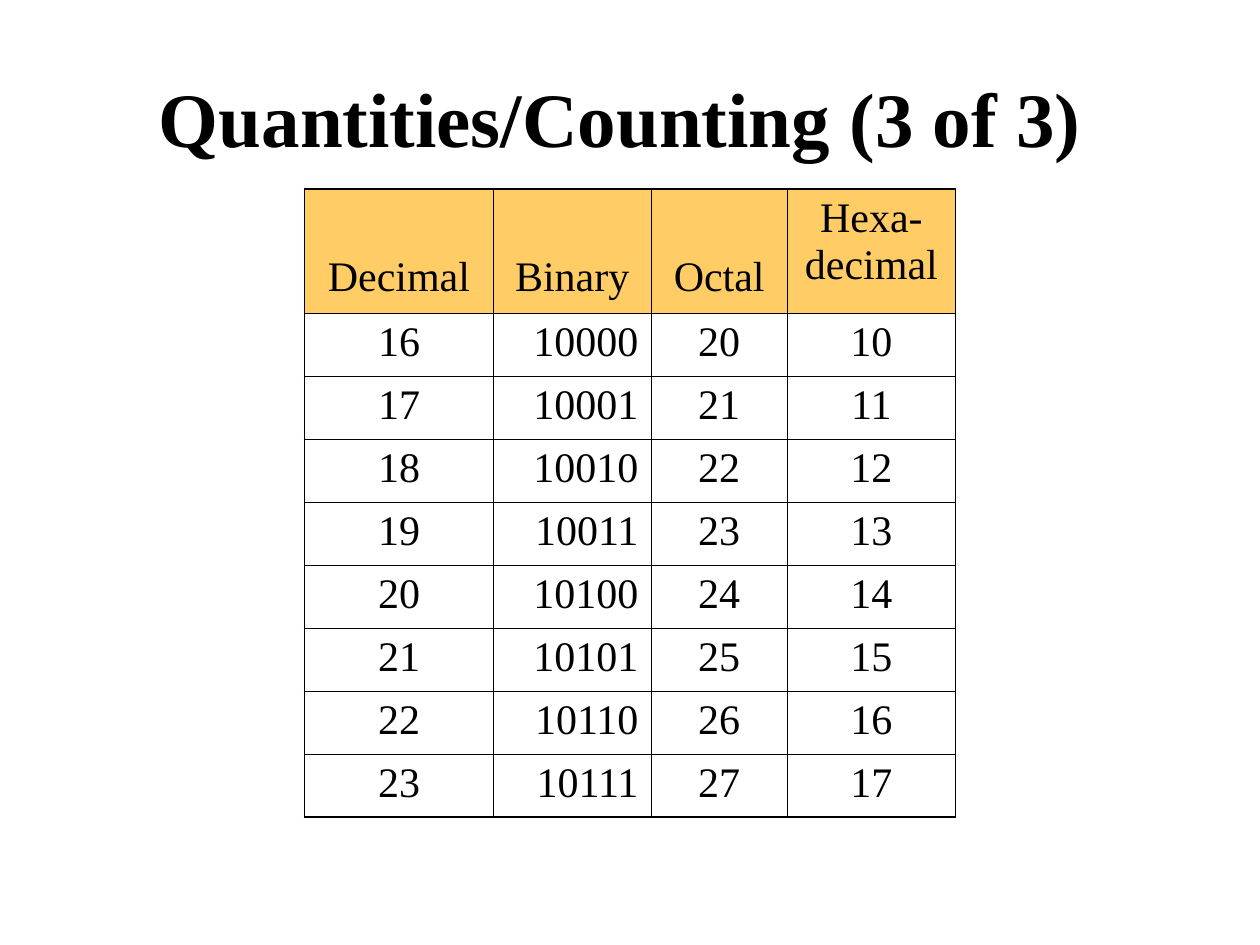
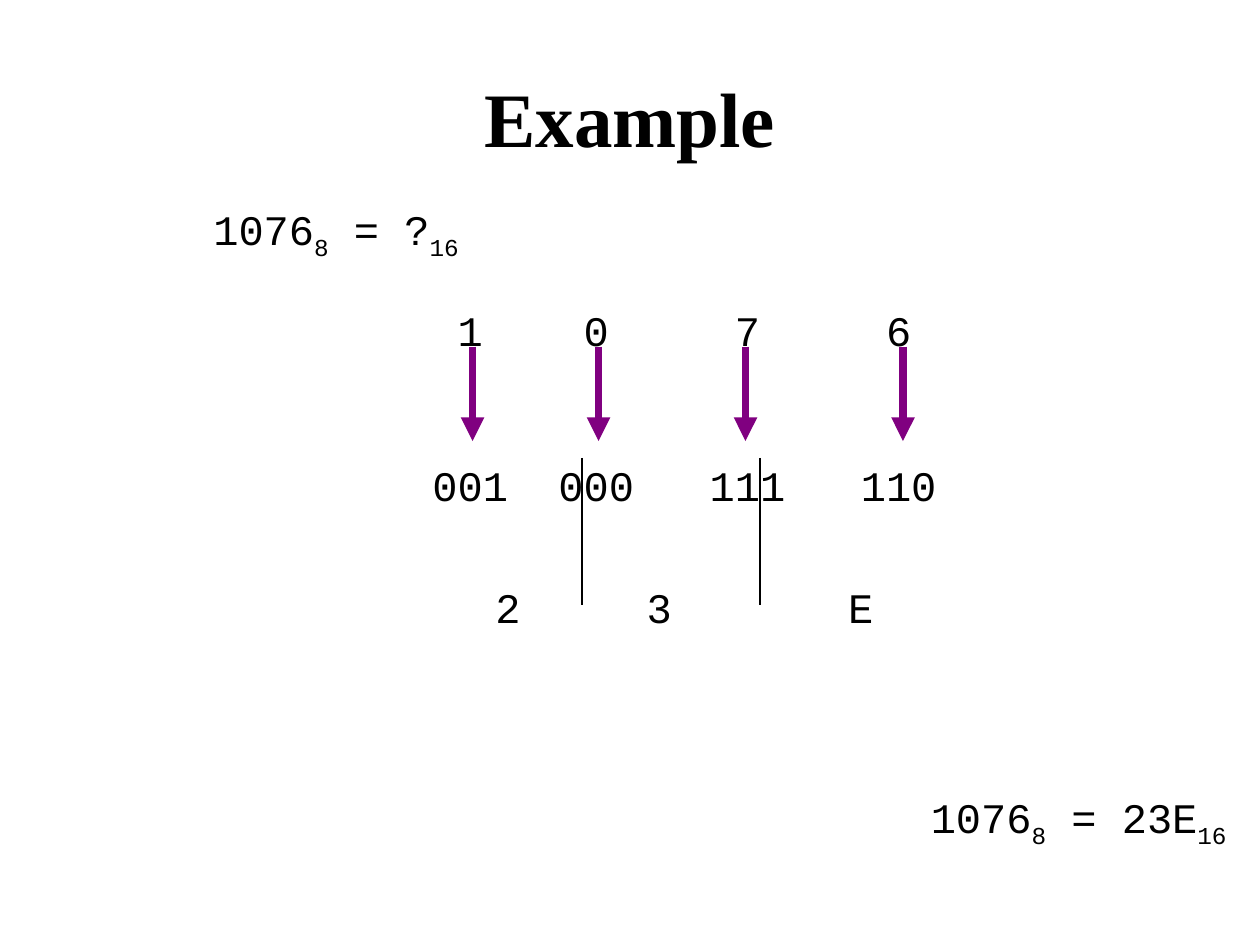
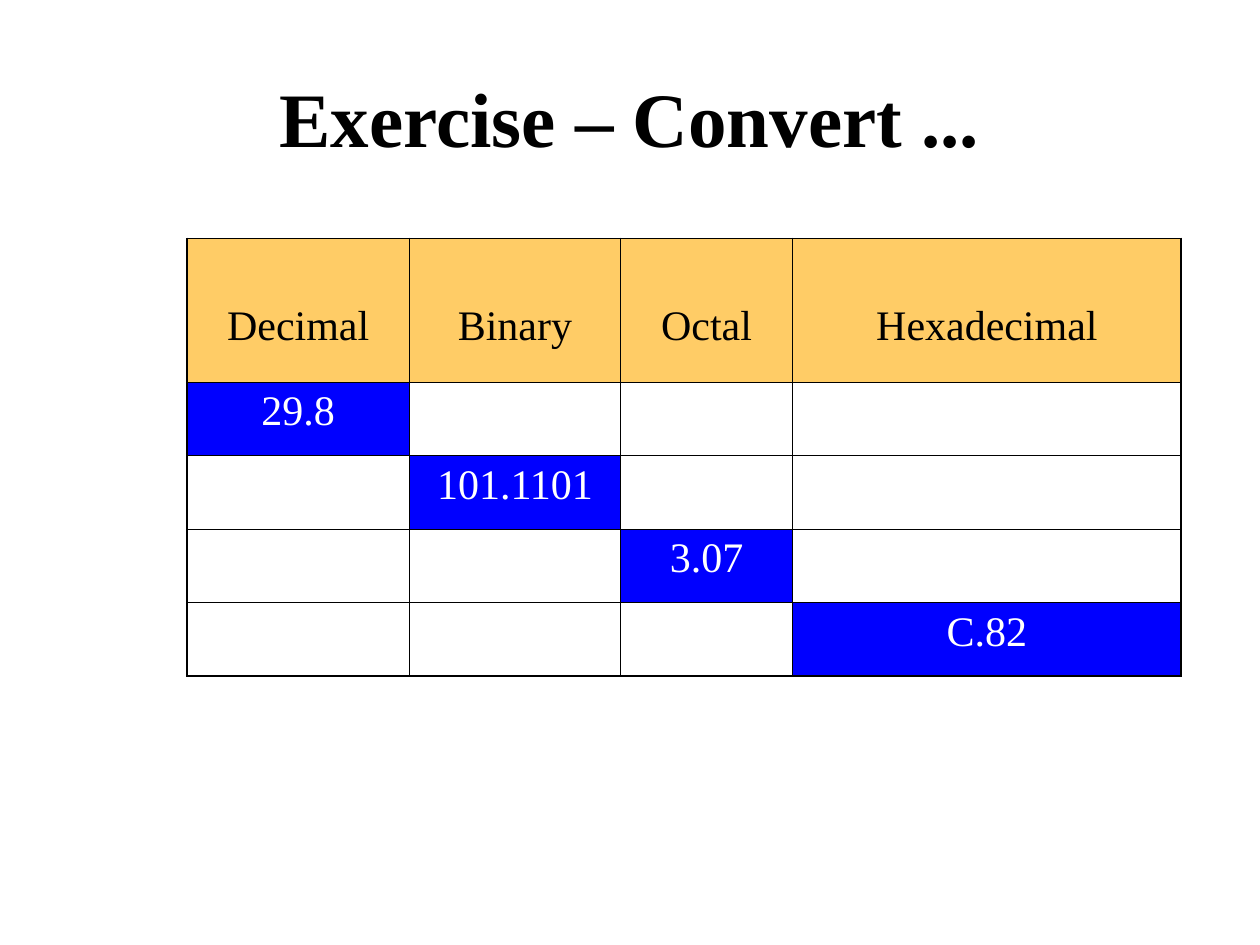
import pptx
import pptx.dml.color
import pptx.enum.shapes
import pptx.enum.text
import pptx.oxml.ns
import pptx.util
from lxml import etree

RGBColor = pptx.dml.color.RGBColor
ALIGN = pptx.enum.text.PP_ALIGN
ANCHOR = pptx.enum.text.MSO_ANCHOR

BLACK = RGBColor(0x00, 0x00, 0x00)
WHITE = RGBColor(0xFF, 0xFF, 0xFF)
AMBER = RGBColor(0xFF, 0xCC, 0x66)
BLUE = RGBColor(0x00, 0x00, 0xFF)
PURPLE = RGBColor(0x80, 0x00, 0x80)

SERIF = "Times New Roman"
MONO = "Courier New"
COLUMNS, ROWS = 120, 90


def add_xml(parent, tag, **attributes):
    child = etree.SubElement(parent, pptx.oxml.ns.qn(tag))
    for key, value in attributes.items():
        child.set(key, str(value))
    return child


class Deck:
    """Lengths are columns and rows of a 120 by 90 grid over the slide."""

    def __init__(self):
        self.presentation = pptx.Presentation()
        self.presentation.slide_width = pptx.util.Inches(10)
        self.presentation.slide_height = pptx.util.Inches(7.5)
        self.slide = None

    def x(self, columns):
        return round(self.presentation.slide_width * columns / COLUMNS)

    def y(self, rows):
        return round(self.presentation.slide_height * rows / ROWS)

    def new_slide(self, heading):
        blank = self.presentation.slide_layouts[6]
        self.slide = self.presentation.slides.add_slide(blank)
        frame = self.text_box(6, 3.6, 108, 15)
        frame.vertical_anchor = ANCHOR.MIDDLE
        self.put_text(frame.paragraphs[0], heading, ALIGN.CENTER, size=44, bold=True)

    def text_box(self, left, top, width, height):
        box = self.slide.shapes.add_textbox(
            self.x(left), self.y(top), self.x(width), self.y(height))
        box.text_frame.word_wrap = True
        return box.text_frame

    def put_text(self, paragraph, text, align, font=SERIF, size=24, color=BLACK, bold=False):
        """Fill a paragraph; every second piece between underscores is a subscript."""
        paragraph.alignment = align
        for line_number, line in enumerate(text.split("\n")):
            if line_number:
                paragraph.add_line_break()
            for number, piece in enumerate(line.split("_")):
                if not piece:
                    continue
                run = paragraph.add_run()
                run.text = piece
                style = {"name": font, "size": pptx.util.Pt(size), "bold": bold}
                for key, value in style.items():
                    setattr(run.font, key, value)
                run.font.color.rgb = color
                if number % 2:
                    run._r.get_or_add_rPr().set("baseline", "-25000")

    def code_box(self, left, top, width, height):
        frame = self.text_box(left, top, width, height)
        frame.margin_top = self.y(1.4)
        return frame

    def equation(self, left, top, text, align):
        frame = self.code_box(left, top, 56, 6.7)
        self.put_text(frame.paragraphs[0], text, align, font=MONO)

    def digit_rows(self, left, top, width, height, centres, rows, gap=0):
        """Set rows of digits on shared centred tab stops."""
        frame = self.code_box(left, top, width, height)
        for number, digits in enumerate(rows):
            paragraph = frame.add_paragraph() if number else frame.paragraphs[0]
            if number:
                paragraph.space_before = pptx.util.Pt(gap)
            tabs = add_xml(paragraph._p.get_or_add_pPr(), "a:tabLst")
            for centre in centres:
                add_xml(tabs, "a:tab", pos=self.x(centre), algn="ctr")
            self.put_text(paragraph, "".join("\t" + digit for digit in digits),
                          ALIGN.LEFT, font=MONO)

    def vertical_line(self, column, top, bottom, color, width, arrow=False):
        line = self.slide.shapes.add_connector(
            pptx.enum.shapes.MSO_CONNECTOR.STRAIGHT,
            self.x(column), self.y(top), self.x(column), self.y(bottom))
        line.line.color.rgb = color
        line.line.width = pptx.util.Pt(width)
        if arrow:
            add_xml(line.line._get_or_add_ln(), "a:tailEnd", type="triangle")
        add_xml(line._element.spPr, "a:effectLst")

    def border(self, cell, outer_sides):
        properties = cell._tc.get_or_add_tcPr()
        for side in "LRTB":
            points = 1.08 if side in outer_sides else 0.45
            edge = add_xml(properties, f"a:ln{side}", w=pptx.util.Pt(points))
            add_xml(add_xml(edge, "a:solidFill"), "a:srgbClr", val=BLACK)

    def table(self, left, top, widths, heights, rows, aligns, body_fill=None):
        """Draw a table with an amber header; body_fill marks filled-in cells."""
        grid = self.slide.shapes.add_table(
            len(rows), len(widths), self.x(left), self.y(top),
            self.x(sum(widths)), self.y(sum(heights))).table
        grid.first_row = grid.horz_banding = False
        for column, width in zip(grid.columns, widths):
            column.width = self.x(width)
        for row, height in zip(grid.rows, heights):
            row.height = self.y(height)
        last_row, last_column = len(rows) - 1, len(widths) - 1
        for r, row in enumerate(rows):
            for c, text in enumerate(row):
                cell = grid.cell(r, c)
                outer = {"T": r == 0, "B": r == last_row,
                         "L": c == 0, "R": c == last_column}
                self.border(cell, [side for side, is_outer in outer.items() if is_outer])
                fill = AMBER if r == 0 else body_fill if text else None
                if fill is None:
                    cell.fill.background()
                else:
                    cell.fill.solid()
                    cell.fill.fore_color.rgb = fill
                if r == 0 and "\n" not in text:
                    cell.margin_top = self.y(6.2)
                self.put_text(cell.text_frame.paragraphs[0], text,
                              aligns[c] if r else ALIGN.CENTER,
                              color=WHITE if fill == BLUE else BLACK)


def counting_slide(deck):
    deck.new_slide("Quantities/Counting (3 of 3) ")
    counts = [[f"{n}", f"{n:b}", f"{n:o}", f"{n:X}"] for n in range(16, 24)]
    deck.table(29, 18, [18, 15, 13, 16], [11.8] + [6] * len(counts),
               [["Decimal", "Binary", "Octal", "Hexa-\ndecimal"]] + counts,
               [ALIGN.CENTER, ALIGN.RIGHT, ALIGN.CENTER, ALIGN.CENTER])


def example_slide(deck):
    deck.new_slide("Example")
    deck.equation(4, 18, "1076_8_ = ?_16_", ALIGN.CENTER)
    octal = "1076"
    deck.digit_rows(40, 27.6, 56, 36.6, [3.6, 15.6, 30, 44.4],
                    [octal, [f"{int(digit):03b}" for digit in octal]], gap=60)
    for column in (45, 57, 71, 86):
        deck.vertical_line(column, 33, 42, PURPLE, 4.5, arrow=True)
    deck.digit_rows(46, 54, 43, 6, [1.2, 15.6, 34.8], ["23E"])
    for column in (55.4, 72.4):
        deck.vertical_line(column, 43.6, 57.6, BLACK, 1)
    deck.equation(62, 74, "1076_8_ = 23E_16_", ALIGN.RIGHT)


def exercise_slide(deck):
    deck.new_slide("Exercise – Convert ...")
    givens = ["29.8", "101.1101", "3.07", "C.82"]
    questions = [[given if c == r else "" for c in range(len(givens))]
                 for r, given in enumerate(givens)]
    deck.table(17.8, 22.7, [21.2, 20.1, 16.4, 37], [13.7] + [7] * len(givens),
               [["Decimal", "Binary", "Octal", "Hexadecimal"]] + questions,
               [ALIGN.CENTER] * len(givens), body_fill=BLUE)


def main():
    deck = Deck()
    counting_slide(deck)
    example_slide(deck)
    exercise_slide(deck)
    deck.presentation.save("out.pptx")


if __name__ == "__main__":
    main()
